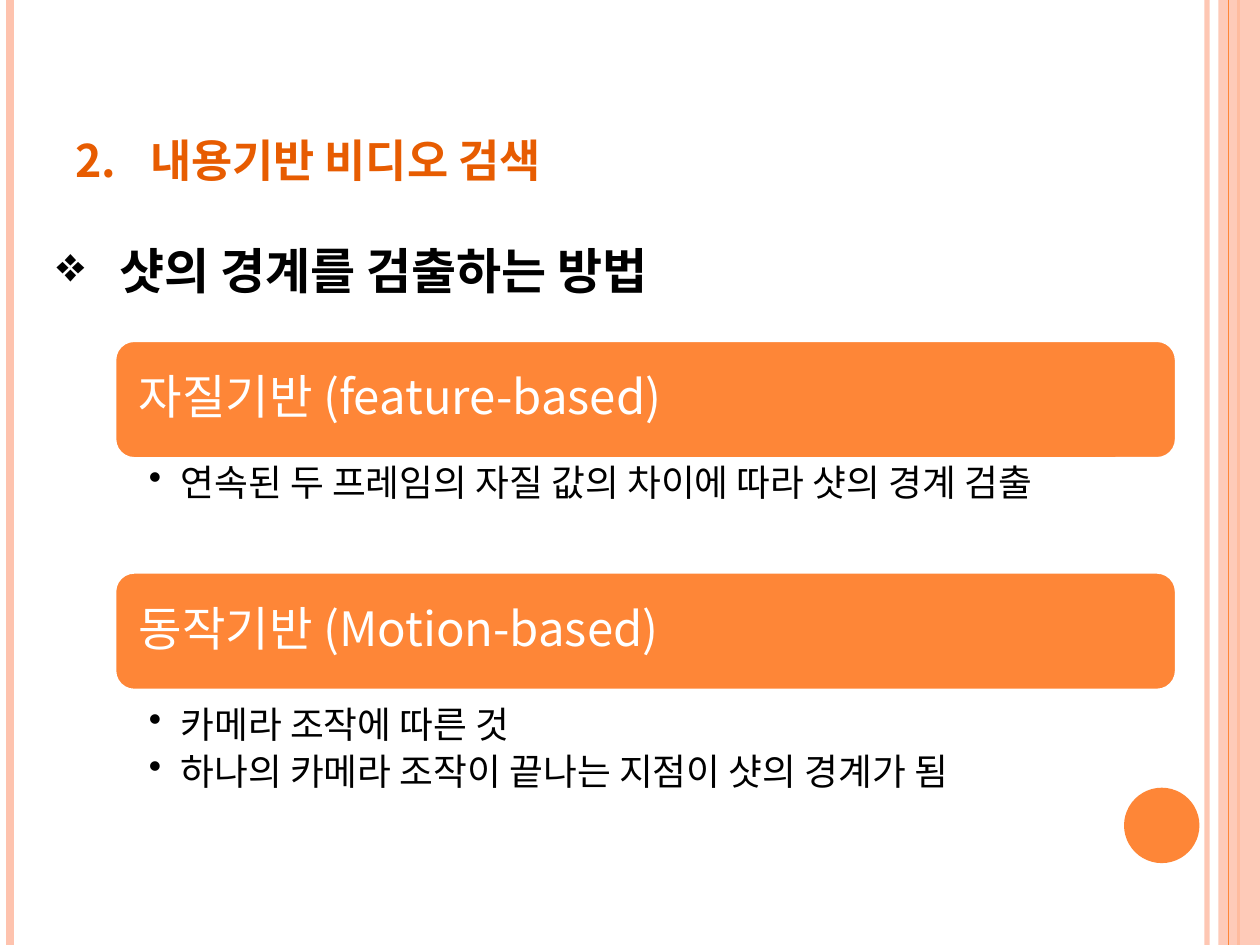
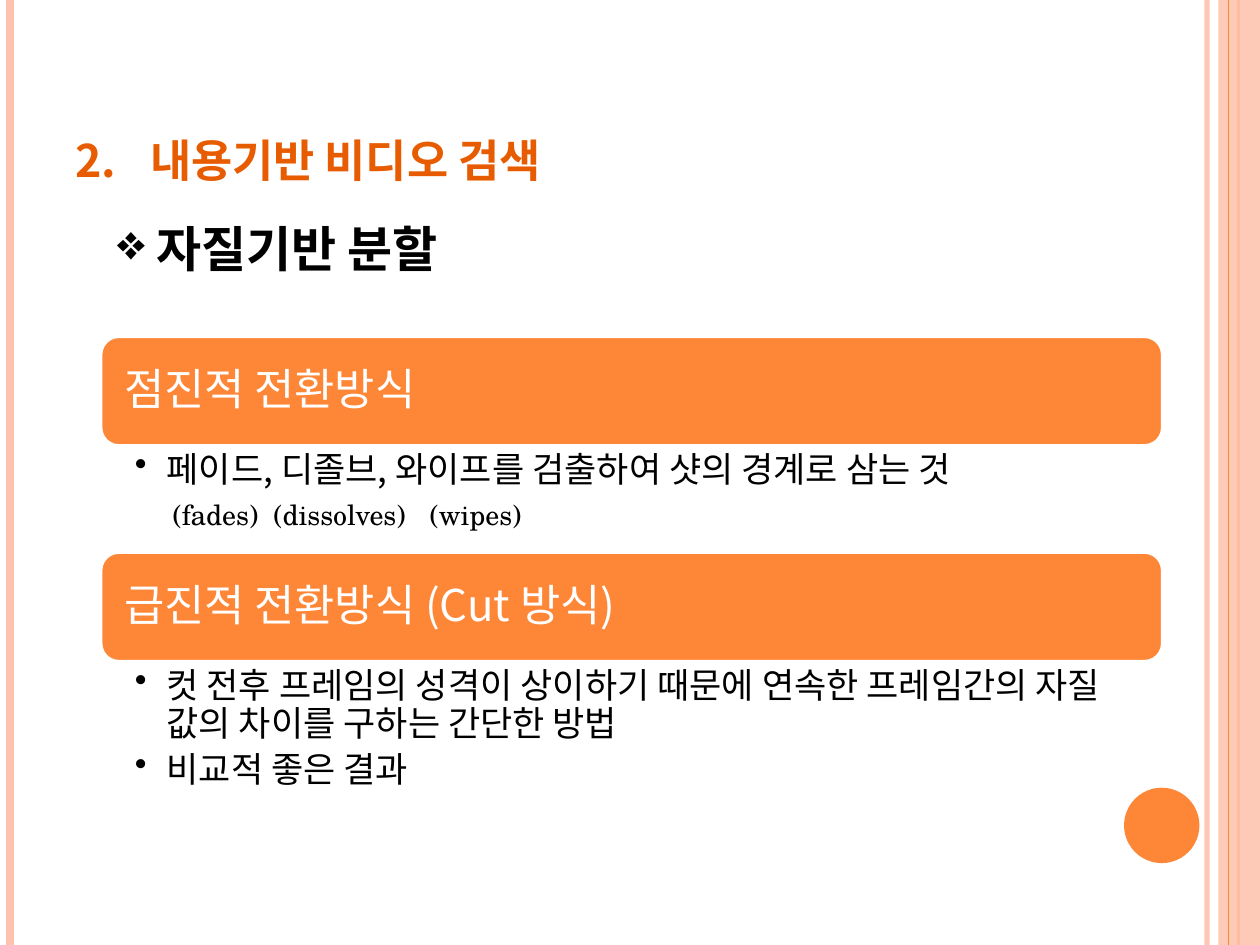
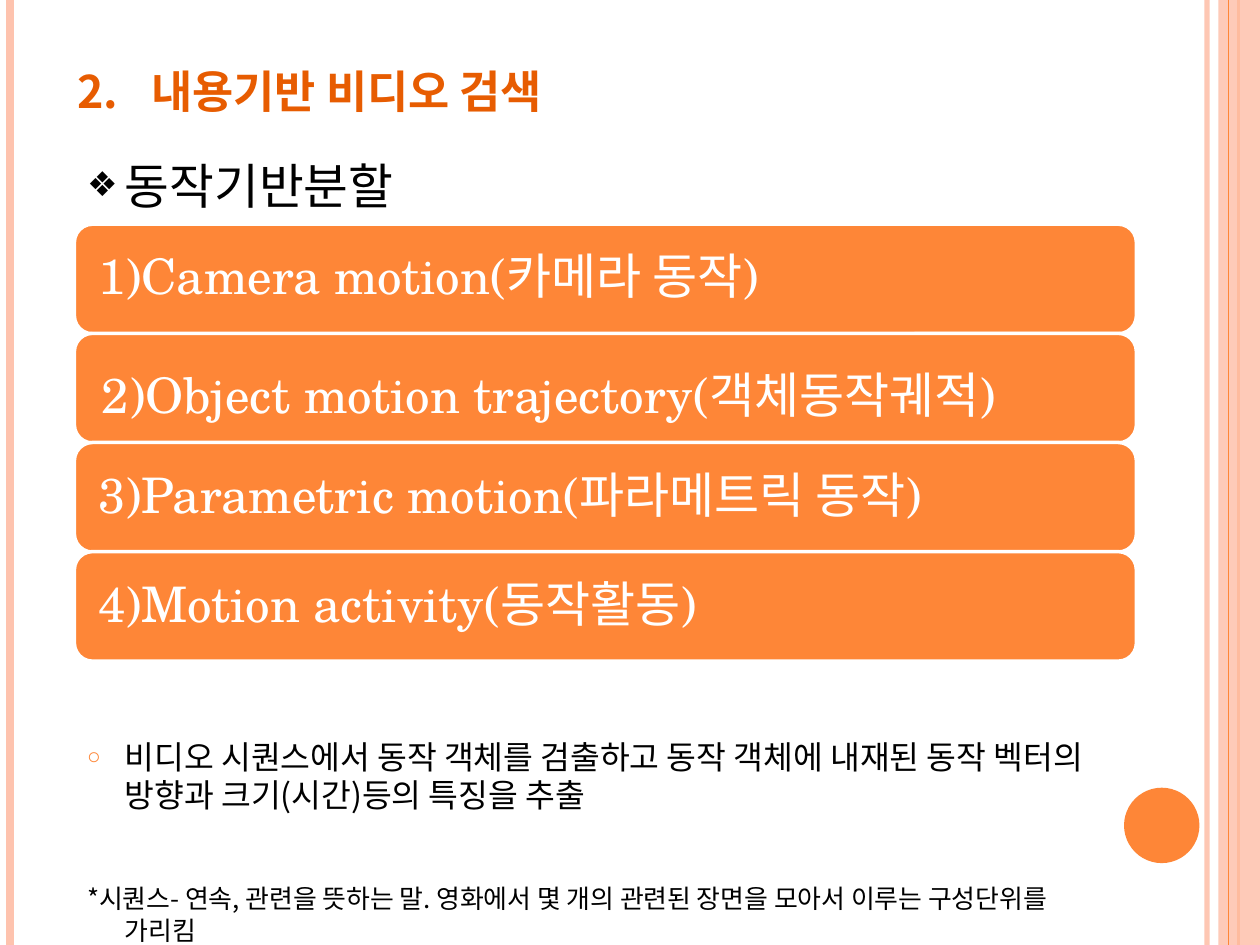
from lxml.etree import SubElement
from pptx import Presentation
from pptx.dml.color import RGBColor
from pptx.enum.shapes import MSO_CONNECTOR, MSO_SHAPE
from pptx.enum.text import MSO_ANCHOR, MSO_AUTO_SIZE, PP_ALIGN
from pptx.oxml.ns import qn
from pptx.util import Cm, Pt

SANS = "Noto Sans CJK KR"
SERIF = "TeX Gyre Schola"
ORANGE = "FE8637"
PEACH = "FEC3AE"
TITLE_COLOR = "E75C01"
WHITE = "FFFFFF"
BLACK = "000000"
SLIDE_HEIGHT = 19.05
BAR_WIDTH = 21.41
TITLE_BOX = (1.27, 0.76, 20.75, 3.18)


def color(hex_string):
    return RGBColor.from_string(hex_string)


def lengths(box):
    return [Cm(value) for value in box]


def set_opacity(shape, percent):
    for srgb in shape.element.spPr.iter(qn("a:srgbClr")):
        SubElement(srgb, qn("a:alpha"), val=str(percent * 1000))


def add_run(paragraph, text, size, hex_string=BLACK, font=SANS, bold=False):
    run = paragraph.add_run()
    run.text = text
    run.font.name = font
    run.font.size = Pt(size)
    run.font.bold = bold
    run.font.color.rgb = color(hex_string)
    SubElement(run.font._element, qn("a:ea"), typeface=SANS)
    return run


def set_indent(paragraph, hanging):
    properties = paragraph._p.get_or_add_pPr()
    properties.set("marL", str(Cm(hanging)))
    properties.set("indent", str(-Cm(hanging)))
    return properties


def set_bullet(paragraph, hanging, character=None, hex_string=None, percent=100):
    properties = set_indent(paragraph, hanging)
    if character is None:
        SubElement(properties, qn("a:buNone"))
        return
    if hex_string:
        bullet_color = SubElement(properties, qn("a:buClr"))
        SubElement(bullet_color, qn("a:srgbClr"), val=hex_string)
    SubElement(properties, qn("a:buSzPct"), val=str(percent * 1000))
    SubElement(properties, qn("a:buChar"), char=character)


def add_text_box(slide, box, anchor=MSO_ANCHOR.TOP, wrap=True):
    frame = slide.shapes.add_textbox(*lengths(box)).text_frame
    frame.word_wrap = wrap
    frame.auto_size = MSO_AUTO_SIZE.NONE
    frame.vertical_anchor = anchor
    return frame


def place(placeholder, box):
    placeholder.left, placeholder.top, placeholder.width, placeholder.height = lengths(box)
    frame = placeholder.text_frame
    frame.auto_size = MSO_AUTO_SIZE.NONE
    return frame


def add_rule(slide, left, hex_string, width, opacity=100):
    rule = slide.shapes.add_connector(
        MSO_CONNECTOR.STRAIGHT, Cm(left), Cm(0), Cm(left), Cm(SLIDE_HEIGHT))
    rule.line.color.rgb = color(hex_string)
    rule.line.width = Pt(width)
    if opacity < 100:
        set_opacity(rule, opacity)
    SubElement(rule.element.spPr, qn("a:effectLst"))
    return rule


def add_plain_shape(slide, kind, box, hex_string):
    shape = slide.shapes.add_shape(kind, *lengths(box))
    shape.shadow.inherit = False
    shape.fill.solid()
    shape.fill.fore_color.rgb = color(hex_string)
    shape.line.fill.background()
    return shape


def decorate_master(presentation, slide):
    rules = [add_rule(slide, 24.33, PEACH, 3, 93),
             add_rule(slide, 0.2, PEACH, 4.5),
             add_rule(slide, 24.97, ORANGE, 1.5)]
    band = add_plain_shape(slide, MSO_SHAPE.RECTANGLE, (24.56, 0, 0.84, SLIDE_HEIGHT), PEACH)
    set_opacity(band, 87)
    inner_rule = add_rule(slide, 24.77, ORANGE, 0.75)
    disc = add_plain_shape(slide, MSO_SHAPE.OVAL, (22.66, 15.88, 1.52, 1.52), ORANGE)
    tree = presentation.slide_master.element.cSld.spTree
    for number, shape in enumerate([*rules, band, inner_rule, disc], 100):
        shape.element.xpath(".//p:cNvPr")[0].set("id", str(number))
        tree.append(shape.element)


def add_title(slide, box=TITLE_BOX):
    frame = place(slide.shapes.title, box)
    frame.vertical_anchor = MSO_ANCHOR.BOTTOM
    paragraph = frame.paragraphs[0]
    paragraph.alignment = PP_ALIGN.LEFT
    set_indent(paragraph, 1.5)
    run = add_run(paragraph, "2.\t내용기반 비디오 검색", 32, TITLE_COLOR, bold=True)
    run.font._element.set("cap", "small")


def add_heading(slide, box, text, hanging):
    frame = add_text_box(slide, box, MSO_ANCHOR.MIDDLE, wrap=False)
    paragraph = frame.paragraphs[0]
    set_bullet(paragraph, hanging, "❖")
    add_run(paragraph, text, 28, bold=True)


def add_bar(slide, box, text, size, font=SANS, shift=(0, 0)):
    bar = add_plain_shape(slide, MSO_SHAPE.ROUNDED_RECTANGLE, box, ORANGE)
    bar.line.color.rgb = color(WHITE)
    bar.line.width = Pt(2)
    frame = bar.text_frame
    frame.word_wrap = True
    frame.vertical_anchor = MSO_ANCHOR.MIDDLE
    frame.margin_left = Cm(0.37 + shift[0])
    frame.margin_top = Cm(0.1 + 2 * shift[1])
    frame.margin_bottom = Cm(0.1)
    paragraph = frame.paragraphs[0]
    paragraph.alignment = PP_ALIGN.LEFT
    paragraph.line_spacing = 0.9
    add_run(paragraph, text, size, WHITE, font)


def add_section(slide, box, label, label_size, items, item_size, list_gap=0.0):
    left, top, width, height = box
    add_bar(slide, box, label, label_size)
    frame = add_text_box(slide, (left, top + height + list_gap, width, 1.4 * len(items)))
    frame.margin_left = Cm(0.69)
    frame.margin_right = Cm(0.5)
    frame.margin_top = frame.margin_bottom = Cm(0.1)
    for index, item in enumerate(items):
        paragraph = frame.add_paragraph() if index else frame.paragraphs[0]
        paragraph.line_spacing = Pt(round(item_size * 1.1))
        paragraph.space_after = Pt(item_size * 0.2)
        set_bullet(paragraph, 0.64, "•")
        add_run(paragraph, item, item_size)


def add_english_terms(slide, box):
    paragraph = add_text_box(slide, box).paragraphs[0]
    tabs = SubElement(paragraph._p.get_or_add_pPr(), qn("a:tabLst"))
    for position in (2.03, 5.18):
        SubElement(tabs, qn("a:tab"), pos=str(Cm(position)), algn="l")
    add_run(paragraph, "(fades)\t(dissolves)\t(wipes)", 16, font=SERIF)


def add_motion_body(slide, box):
    frame = place(slide.placeholders[1], box)
    rows = [
        ("동작기반분할", 27.8, SERIF, 36, 0, ("❖", None, 70)),
        ("비디오 시퀀스에서 동작 객체를 검출하고 동작 객체에 내재된 동작 벡터의 방향과 "
         "크기(시간)등의 특징을 추출", 18.5, SANS, 22, 299, ("○", ORANGE, 70)),
        ("*시퀀스- 연속, 관련을 뜻하는 말. 영화에서 몇 개의 관련된 장면을 모아서 이루는 "
         "구성단위를 가리킴", 14.8, SANS, 18, 39, ()),
    ]
    for index, (text, size, font, line_height, space_before, bullet) in enumerate(rows):
        paragraph = frame.add_paragraph() if index else frame.paragraphs[0]
        paragraph.line_spacing = Pt(line_height)
        paragraph.space_before = Pt(space_before)
        set_bullet(paragraph, 0.76, *bullet)
        add_run(paragraph, text, size, font=font)


def add_motion_bars(slide, left, top, pitch):
    bars = [
        ("1)Camera motion(카메라 동작)", (0, 0)),
        ("2)Object motion trajectory(객체동작궤적)", (0.08, 0.2)),
        ("3)Parametric motion(파라메트릭 동작)", (0, 0)),
        ("4)Motion activity(동작활동)", (0, 0)),
    ]
    for index, (text, shift) in enumerate(bars):
        add_bar(slide, (left, top + index * pitch, BAR_WIDTH, 2.21), text, 28, SERIF, shift)


def build_boundary_slide(slide):
    add_title(slide)
    add_section(slide, (2.31, 6.86, BAR_WIDTH, 2.39), "자질기반 (feature-based)", 27,
                ["연속된 두 프레임의 자질 값의 차이에 따라 샷의 경계 검출"], 21)
    add_section(slide, (2.31, 11.53, BAR_WIDTH, 2.39), "동작기반 (Motion-based)", 27,
                ["카메라 조작에 따른 것", "하나의 카메라 조작이 끝나는 지점이 샷의 경계가 됨"],
                21, 0.2)
    add_heading(slide, (0.89, 4.72, 13.82, 1.45), "샷의 경계를 검출하는 방법", 1.27)


def build_feature_slide(slide):
    add_title(slide)
    add_heading(slide, (2.11, 4.27, 7.75, 1.45), "자질기반 분할", 0.79)
    add_section(slide, (2.03, 6.78, BAR_WIDTH, 2.21), "점진적 전환방식", 25,
                ["페이드, 디졸브, 와이프를 검출하여 샷의 경계로 삼는 것"], 20)
    add_section(slide, (2.03, 11.13, BAR_WIDTH, 2.21), "급진적 전환방식 (Cut 방식)", 25,
                ["컷 전후 프레임의 성격이 상이하기 때문에 연속한 프레임간의 자질 값의 차이를 "
                 "구하는 간단한 방법", "비교적 좋은 결과"], 20)
    add_english_terms(slide, (3.23, 9.91, 13.79, 0.94))


def build_motion_slide(slide):
    add_title(slide, (1.3, 0.74, 20.75, 1.8))
    add_motion_body(slide, (1.5, 2.92, 20.75, 15.6))
    add_motion_bars(slide, 1.5, 4.52, 2.2)


def main():
    presentation = Presentation()
    presentation.slide_width = Cm(25.4)
    presentation.slide_height = Cm(SLIDE_HEIGHT)
    title_only = presentation.slide_layouts[5]
    title_and_content = presentation.slide_layouts[1]
    boundary_slide = presentation.slides.add_slide(title_only)
    decorate_master(presentation, boundary_slide)
    build_boundary_slide(boundary_slide)
    build_feature_slide(presentation.slides.add_slide(title_only))
    build_motion_slide(presentation.slides.add_slide(title_and_content))
    presentation.save("out.pptx")


if __name__ == "__main__":
    main()
